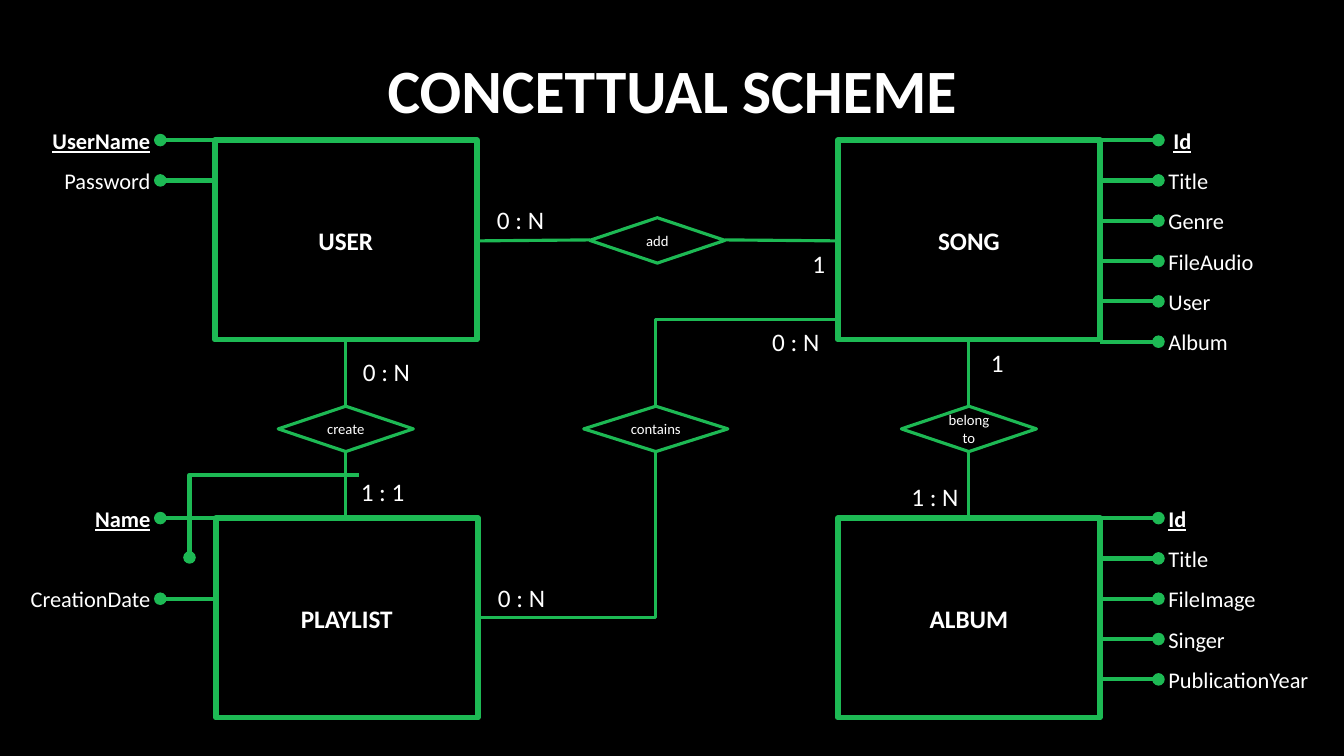
from lxml.etree import SubElement
from pptx import Presentation
from pptx.dml.color import RGBColor
from pptx.enum.shapes import MSO_CONNECTOR as Conn, MSO_SHAPE as Geom
from pptx.enum.text import MSO_ANCHOR as Anchor, PP_ALIGN as Align
from pptx.oxml.ns import qn
from pptx.util import Inches, Pt

GREEN = RGBColor(0x1D, 0xB9, 0x54)
WHITE = RGBColor(0xFF, 0xFF, 0xFF)
BLACK = RGBColor(0x00, 0x00, 0x00)

BOX_W, BOX_H = 2.6, 1.98
ROW = 0.4  # distance between attributes
LEFT, RIGHT = 1.59, 11.49  # columns of attribute dots
TOP, LOW = 1.39, 5.14  # tops of the entity rows

# Name, left, top, attribute side, attributes as (row, text)
ENTITIES = [
    ("USER", 2.13, TOP, LEFT, [(0, "UserName"), (1, "Password")]),
    ("PLAYLIST", 2.14, LOW, LEFT, [(0, "Name"), (2, "CreationDate")]),
    ("SONG", 8.31, TOP, RIGHT,
     list(enumerate(["Id", "Title", "Genre", "FileAudio", "User", "Album"]))),
    ("ALBUM", 8.31, LOW, RIGHT,
     list(enumerate(["Id", "Title", "FileImage", "Singer", "PublicationYear"]))),
]
# Name, left, top, width
RELATIONS = [
    ("create", 2.76, 4.03, 1.34), ("contains", 5.79, 4.03, 1.43),
    ("add", 5.85, 2.16, 1.34), ("belong to", 8.94, 4.03, 1.34),
]
# Text, left, top
COUNTS = [
    ("0 : N", 3.5, 3.49), ("1 : 1", 3.48, 4.68), ("0 : N", 4.83, 1.98),
    ("1", 7.96, 2.41), ("0 : N", 4.84, 5.73), ("0 : N", 7.56, 3.19),
    ("1 : N", 8.94, 4.73), ("1", 9.73, 3.4),
]
LINKS = [
    (3.43, 3.38, 3.43, 4.03), (3.43, 4.48, 3.43, 5.14),
    (4.73, 2.39, 5.85, 2.38), (7.19, 2.38, 8.31, 2.39),
    (9.61, 3.38, 9.61, 4.03), (9.61, 4.48, 9.61, 5.14),
]
# Each runs level first, then upright
BENDS = [(4.73, 6.13, 6.5, 4.48), (8.33, 3.17, 6.5, 4.03)]


def write(frame, text, size, align, bold=False, line=False):
    frame.word_wrap = True
    frame.text = text
    par = frame.paragraphs[0]
    par.alignment = align
    font = par.font
    font.name, font.size, font.bold = "Calibri", Pt(size), bold
    font.color.rgb = WHITE
    if line:
        # Underline is kept on the run, where all viewers honour it
        par.runs[0].font.underline = True
    return par


def add_text(slide, text, x, y, w, h, size, align=Align.LEFT, key=False):
    box = slide.shapes.add_textbox(Inches(x), Inches(y), Inches(w), Inches(h))
    write(box.text_frame, text, size, align, key, key)


def add_line(slide, ends, width=2.25, dot=None, bent=False):
    kind = Conn.ELBOW if bent else Conn.STRAIGHT
    line = slide.shapes.add_connector(kind, *[Inches(v) for v in ends])
    line.line.color.rgb = GREEN
    line.line.width = Pt(width)
    props = line._element.spPr
    if dot:
        SubElement(props.find(qn("a:ln")), qn(dot), type="oval")
    if bent:
        guides = props.find(qn("a:prstGeom")).find(qn("a:avLst"))
        SubElement(guides, qn("a:gd"), name="adj1", fmla="val 100000")
    SubElement(props, qn("a:effectLst"))


def add_node(slide, geom, text, x, y, w, h, width, size, bold=False):
    node = slide.shapes.add_shape(geom, Inches(x), Inches(y), Inches(w), Inches(h))
    node.shadow.inherit = False
    node.fill.background()
    node.line.color.rgb = GREEN
    node.line.width = Pt(width)
    node.text_frame.vertical_anchor = Anchor.MIDDLE
    write(node.text_frame, text, size, Align.CENTER, bold)


def add_entity(slide, name, x, top, side, attrs):
    for row, text in attrs:
        y = top + row * ROW
        key = row == 0
        edge = x if side == LEFT else x + BOX_W
        add_line(slide, (side, y, edge, y), 3, "a:headEnd")
        if side == LEFT:
            add_text(slide, text, side - 1.63, y - 0.18, 1.63, 0.37, 16,
                     Align.RIGHT, key)
        else:
            shift = 0.05 if key and top == TOP else 0
            add_text(slide, text, side + shift, y - 0.18, 1.69, 0.37, 16, key=key)
    add_node(slide, Geom.RECTANGLE, name, x, top, BOX_W, BOX_H, 4, 18, True)


def add_title(slide, text):
    title = slide.shapes.title
    title.left, title.top = Inches(0.92), Inches(0.2)
    title.width, title.height = Inches(11.5), Inches(1.45)
    title.text_frame.vertical_anchor = Anchor.MIDDLE
    write(title.text_frame, text, 44, Align.CENTER, True).line_spacing = 0.9


def main():
    deck = Presentation()
    deck.slide_width, deck.slide_height = Inches(13.33), Inches(7.5)
    slide = deck.slides.add_slide(deck.slide_layouts[5])
    slide.background.fill.solid()
    slide.background.fill.fore_color.rgb = BLACK
    add_title(slide, "CONCETTUAL SCHEME")

    # Links between entities and relations
    for ends in LINKS:
        add_line(slide, ends)
    for ends in BENDS:
        add_line(slide, ends, bent=True)

    # Entities with their attributes
    for entity in ENTITIES:
        add_entity(slide, *entity)

    # Relations and their cardinalities
    for name, x, y, w in RELATIONS:
        add_node(slide, Geom.FLOWCHART_DECISION, name, x, y, w, 0.45, 2.25, 10.5)
    for text, x, y in COUNTS:
        add_text(slide, text, x, y, 0.35 if text == "1" else 0.69, 0.4, 18)

    # Composite key of the playlist
    add_line(slide, (3.56, 4.71, 1.88, 5.53), 3, "a:tailEnd", bent=True)
    deck.save("out.pptx")


if __name__ == "__main__":
    main()
